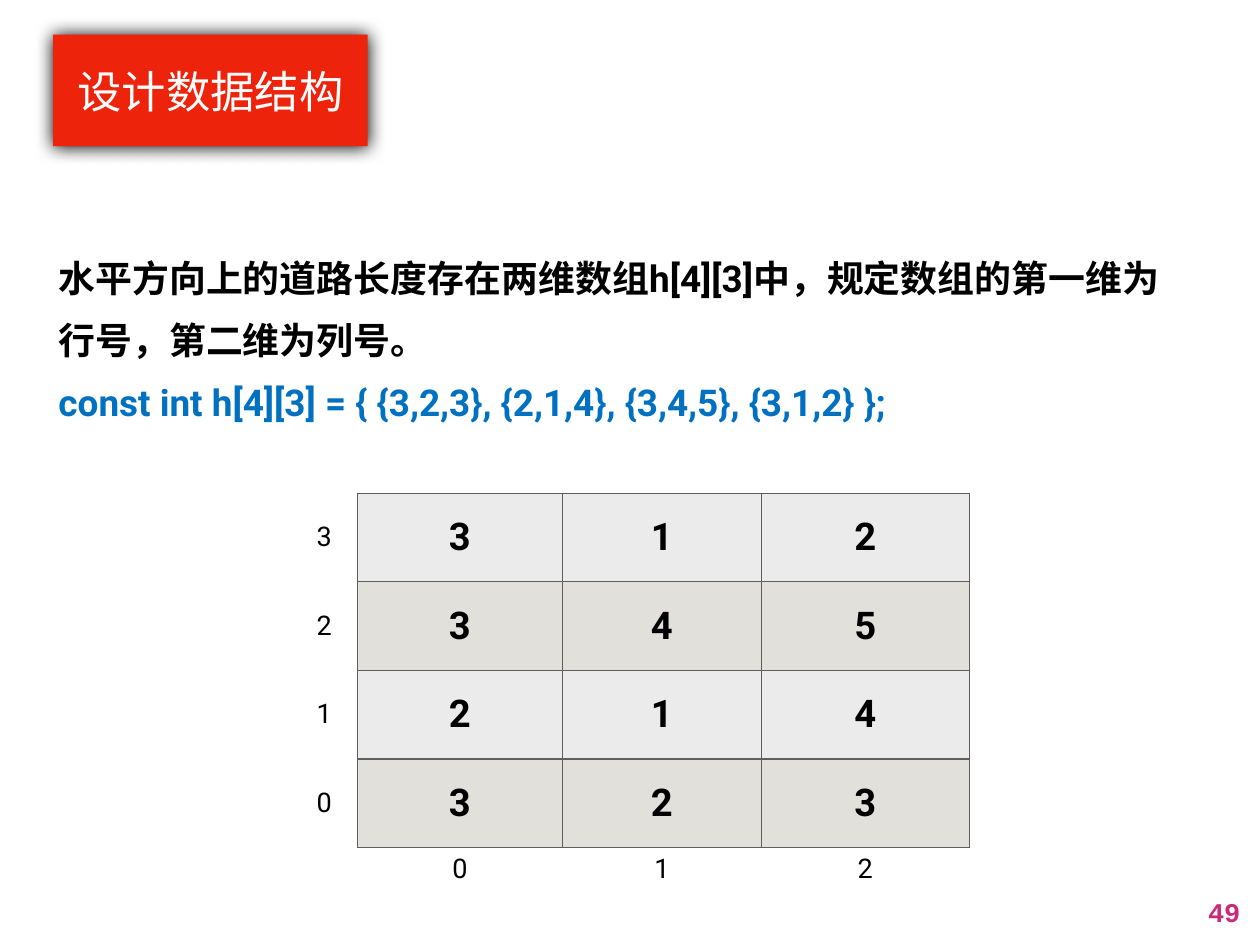
from dataclasses import dataclass

import pptx
import pptx.dml.color
import pptx.enum.text
import pptx.oxml
import pptx.oxml.ns
import pptx.util

Inches = pptx.util.Inches
Pt = pptx.util.Pt
ALIGN = pptx.enum.text.PP_ALIGN
ANCHOR = pptx.enum.text.MSO_ANCHOR

COLORS = {
    "banner": "EE230C",
    "white": "FFFFFF",
    "black": "000000",
    "code": "0070C0",
    "grid": "5E5E5E",
    "light_row": "EBEBEB",
    "dark_row": "E1E0DA",
    "page": "CB2A7A",
}
FONT = "Roboto"
ROAD_LENGTHS = [[3, 2, 3], [2, 1, 4], [3, 4, 5], [3, 1, 2]]
COLUMN_WIDTHS = [0.74, 2.32, 2.24, 2.35]
ROW_HEIGHTS = [1, 1, 1, 1, 0.5]


@dataclass
class GridCell:
    row: int
    column: int
    content: str
    borders: str
    fill: str = ""
    size: int = 22
    bold: bool = False


def rgb(name: str) -> pptx.dml.color.RGBColor:
    return pptx.dml.color.RGBColor.from_string(COLORS[name])


def style_font(paragraph, size: int, color: str, bold: bool = False, name: str = FONT) -> None:
    font = paragraph.font
    font.name, font.size, font.bold = name, Pt(size), bold
    font.color.rgb = rgb(color)


def set_margins(area, margin: float) -> None:
    area.margin_left = area.margin_right = Inches(margin)
    area.margin_top = area.margin_bottom = Inches(margin)


def draw_borders(cell, shown: str) -> None:
    """Draw the sides named in shown (L, R, T, B) and clear the others."""
    properties = cell._tc.get_or_add_tcPr()
    for side in "LRTB":
        paint = "<a:noFill/>"
        if side in shown:
            paint = f'<a:solidFill><a:srgbClr val="{COLORS["grid"]}"/></a:solidFill>'
        properties.append(pptx.oxml.parse_xml(
            f'<a:ln{side} {pptx.oxml.ns.nsdecls("a")} w="{Pt(1)}">{paint}</a:ln{side}>'))


def draw_cell(table, item: GridCell) -> None:
    cell = table.cell(item.row, item.column)
    set_margins(cell, 0.06)
    cell.vertical_anchor = ANCHOR.MIDDLE
    draw_borders(cell, item.borders)
    if item.fill:
        cell.fill.solid()
        cell.fill.fore_color.rgb = rgb(item.fill)
    else:
        cell.fill.background()
    paragraph = cell.text_frame.paragraphs[0]
    paragraph.text = item.content
    paragraph.alignment = ALIGN.CENTER
    style_font(paragraph, item.size, "black", item.bold)


def grid_cells() -> list[GridCell]:
    """Array row 0 sits at the bottom, with index labels on the left and below."""
    last = len(ROAD_LENGTHS)
    cells = [GridCell(last, 0, "", "")]
    for index, lengths in enumerate(ROAD_LENGTHS):
        row = last - 1 - index
        fill = "dark_row" if row % 2 else "light_row"
        cells.append(GridCell(row, 0, str(index), "R"))
        for column, length in enumerate(lengths, start=1):
            cells.append(GridCell(row, column, str(length), "LRTB", fill, 31, True))
    for index in range(len(ROAD_LENGTHS[0])):
        cells.append(GridCell(last, index + 1, str(index), "T"))
    return cells


def add_title(slide) -> None:
    title = slide.shapes.title
    title.left, title.top = Inches(0.6), Inches(0.39)
    title.width, title.height = Inches(3.55), Inches(1.26)
    title.fill.solid()
    title.fill.fore_color.rgb = rgb("banner")
    title.line.fill.background()
    title.shadow.inherit = False
    effects = title._element.spPr.find(pptx.oxml.ns.qn("a:effectLst"))
    effects.append(pptx.oxml.parse_xml(
        f'<a:outerShdw {pptx.oxml.ns.nsdecls("a")} blurRad="{Pt(15)}" dist="{Pt(0.7)}" '
        f'dir="5400000" rotWithShape="0"><a:srgbClr val="{COLORS["black"]}"/></a:outerShdw>'))
    frame = title.text_frame
    frame.auto_size = pptx.enum.text.MSO_AUTO_SIZE.NONE
    frame.vertical_anchor = ANCHOR.MIDDLE
    set_margins(frame, 0.07)
    frame.text = "设计数据结构"
    frame.paragraphs[0].alignment = ALIGN.CENTER
    style_font(frame.paragraphs[0], 36, "white")


def add_explanation(slide) -> None:
    box = slide.shapes.add_textbox(Inches(0.6), Inches(2.66), Inches(12.63), Inches(2.15))
    frame = box.text_frame
    frame.word_wrap = True
    frame.vertical_anchor = ANCHOR.MIDDLE
    set_margins(frame, 0.06)
    frame.text = (
        "水平方向上的道路长度存在两维数组h[4][3]中，规定数组的第一维为行号，第二维为列号。\n"
        "const int h[4][3] = { {3,2,3}, {2,1,4}, {3,4,5}, {3,1,2} };")
    for paragraph, color in zip(frame.paragraphs, ("black", "code")):
        paragraph.line_spacing = 1.4
        style_font(paragraph, 30, color, bold=True)


def add_road_table(slide) -> None:
    table = slide.shapes.add_table(
        len(ROW_HEIGHTS), len(COLUMN_WIDTHS), Inches(3.29), Inches(5.57),
        Inches(sum(COLUMN_WIDTHS)), Inches(sum(ROW_HEIGHTS))).table
    table.first_row = table.horz_banding = False
    for column, width in zip(table.columns, COLUMN_WIDTHS):
        column.width = Inches(width)
    for row, height in zip(table.rows, ROW_HEIGHTS):
        row.height = Inches(height)
    for item in grid_cells():
        draw_cell(table, item)


def add_page_number(slide) -> None:
    box = slide.shapes.add_textbox(Inches(13.55), Inches(10.04), Inches(0.52), Inches(0.5))
    frame = box.text_frame
    frame.word_wrap = False
    set_margins(frame, 0.07)
    frame.text = "49"
    frame.paragraphs[0].alignment = ALIGN.RIGHT
    style_font(frame.paragraphs[0], 22, "page", bold=True, name="Courier New")


def main() -> None:
    deck = pptx.Presentation()
    deck.slide_width, deck.slide_height = Inches(14.22), Inches(10.67)
    slide = deck.slides.add_slide(deck.slide_layouts[5])  # title only
    add_title(slide)
    add_explanation(slide)
    add_road_table(slide)
    add_page_number(slide)
    deck.save("out.pptx")


if __name__ == "__main__":
    main()
